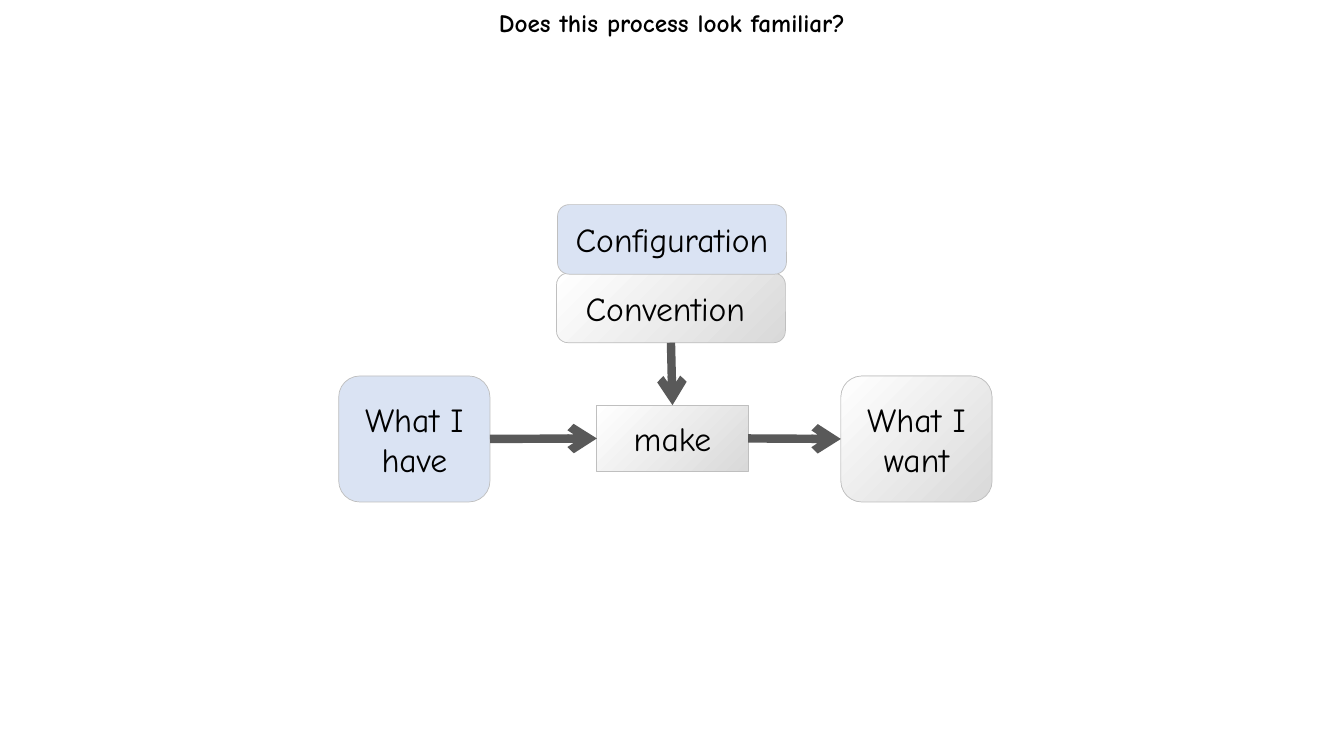
from lxml import etree
from pptx import Presentation
from pptx.dml.color import RGBColor
from pptx.enum.shapes import MSO_CONNECTOR, MSO_SHAPE
from pptx.enum.text import MSO_ANCHOR, PP_ALIGN
from pptx.oxml.ns import qn
from pptx.util import Inches, Pt

# Content
FONT = "Comic Neue"
TITLE = "Does this process look familiar?"
BLUE, GREY, WHITE = "DAE3F3", "D9D9D9", "FFFFFF"
OUTLINE, ARROW, INK = "BFBFBF", "595959", "000000"

# name: (text, left, top, width, height, fills); two fills make a gradient
STEPS = {
    "have": ("What I have", 3.36, 3.73, 1.5, 1.25, [BLUE]),
    "want": ("What I want", 8.34, 3.73, 1.5, 1.25, [GREY, WHITE]),
    "make": ("make", 5.92, 4.02, 1.5, 0.66, [GREY, WHITE]),
    "convention": ("Convention ", 5.52, 2.71, 2.27, 0.69, [GREY, WHITE]),
    "configuration": ("Configuration", 5.53, 2.03, 2.27, 0.69, [BLUE]),
}
SQUARE_STEPS = {"make"}

# Connection sites of a rounded rectangle
TOP, LEFT, BOTTOM, RIGHT = range(4)
FLOWS = [
    ("have", RIGHT, "make", LEFT),
    ("make", RIGHT, "want", LEFT),
    ("convention", BOTTOM, "make", TOP),
]


def color(hex_code):
    return RGBColor.from_string(hex_code)


def write(frame, text, size, bold=False):
    frame.word_wrap = True
    frame.text = text
    paragraph = frame.paragraphs[0]
    paragraph.alignment = PP_ALIGN.CENTER
    font = paragraph.runs[0].font
    font.name, font.size, font.bold = FONT, Pt(size), bold
    font.color.rgb = color(INK)


def add_step(slide, text, left, top, width, height, fills):
    step = slide.shapes.add_shape(
        MSO_SHAPE.ROUNDED_RECTANGLE, *map(Inches, (left, top, width, height)))
    step.shadow.inherit = False
    if len(fills) == 1:
        step.fill.solid()
        step.fill.fore_color.rgb = color(fills[0])
    else:
        step.fill.gradient()
        step.fill.gradient_angle = 135
        for position, (stop, shade) in enumerate(zip(step.fill.gradient_stops, fills)):
            stop.position = position
            stop.color.rgb = color(shade)
    step.line.color.rgb = color(OUTLINE)
    step.line.width = Pt(0.5)
    step.text_frame.vertical_anchor = MSO_ANCHOR.MIDDLE
    write(step.text_frame, text, 24)
    return step


def add_flow(slide, source, source_site, target, target_site):
    flow = slide.shapes.add_connector(MSO_CONNECTOR.STRAIGHT, 0, 0, 0, 0)
    flow.begin_connect(source, source_site)
    flow.end_connect(target, target_site)
    flow.line.color.rgb = color(ARROW)
    flow.line.width = Pt(6)
    properties = flow.line._get_or_add_ln()
    etree.SubElement(properties, qn("a:tailEnd"), type="arrow")
    etree.SubElement(properties.getparent(), qn("a:effectLst"))


def main():
    deck = Presentation()
    deck.slide_width, deck.slide_height = Inches(13.33), Inches(7.5)
    slide = deck.slides.add_slide(deck.slide_layouts[6])

    # Process diagram
    steps = {name: add_step(slide, *step) for name, step in STEPS.items()}
    for name in SQUARE_STEPS:
        steps[name].adjustments[0] = 0
    for source, source_site, target, target_site in FLOWS:
        add_flow(slide, steps[source], source_site, steps[target], target_site)

    # Title
    title = slide.shapes.add_textbox(0, Inches(0.02), deck.slide_width, Inches(0.4))
    write(title.text_frame, TITLE, 18, bold=True)

    deck.save("out.pptx")


if __name__ == "__main__":
    main()
